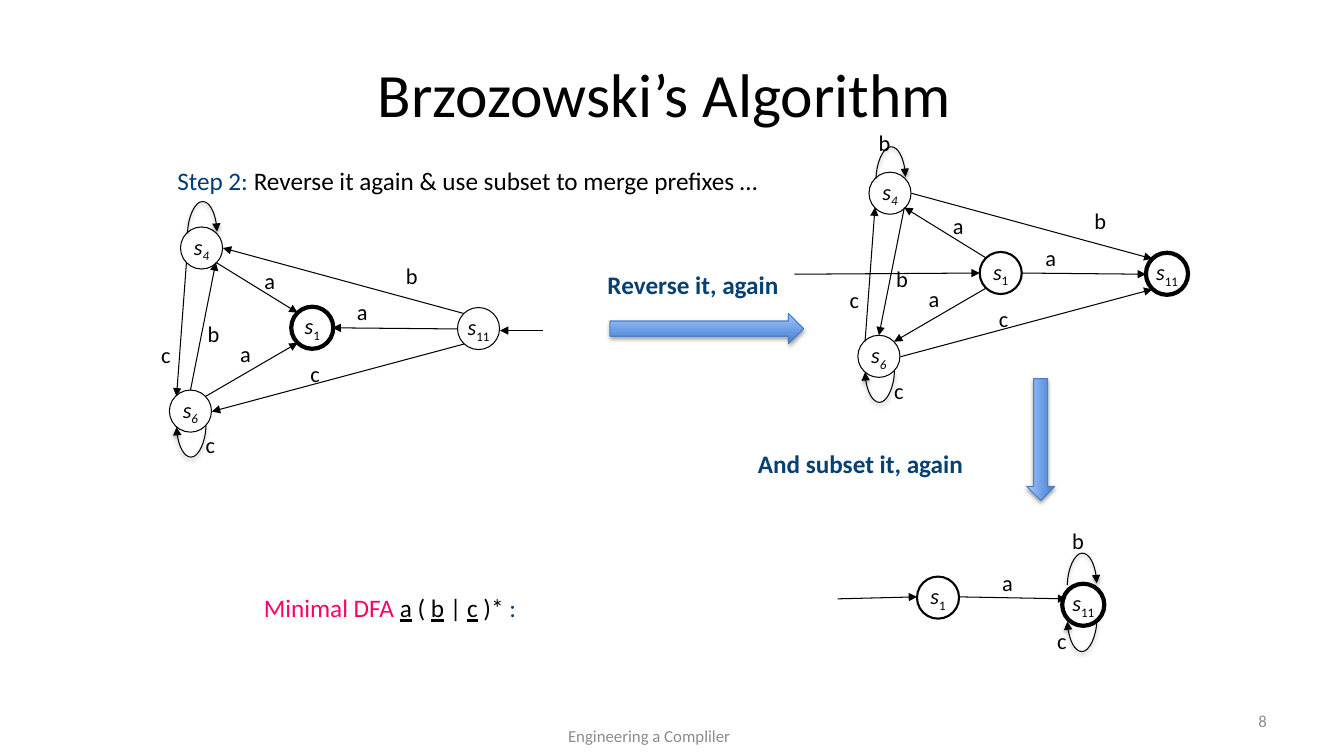
"""Build the slide on step 2 of Brzozowski's algorithm."""
from pptx import Presentation
from pptx.dml.color import RGBColor
from pptx.enum.shapes import MSO_CONNECTOR, MSO_SHAPE
from pptx.enum.text import MSO_ANCHOR, PP_ALIGN
from pptx.oxml import parse_xml
from pptx.oxml.ns import nsdecls, qn
from pptx.util import Cm, Pt

BLACK, BLUE, NAVY, PINK, GREY = "000000", "003C75", "074073", "FF0065", "8C8C8C"
SHADOW = (
    f'<a:effectLst {nsdecls("a")}><a:outerShdw blurRad="39400" dist="22000" dir="5400000" '
    'rotWithShape="0"><a:srgbClr val="000000"><a:alpha val="36000"/></a:srgbClr>'
    "</a:outerShdw></a:effectLst>"
)
NO_SHADOW = f'<a:effectLst {nsdecls("a")}/>'

deck = Presentation()
deck.slide_width, deck.slide_height = Cm(33.87), Cm(19.05)
slide = deck.slides.add_slide(deck.slide_layouts[5])
shapes = slide.shapes


def write(frame, pieces, size, align=PP_ALIGN.LEFT, anchor=MSO_ANCHOR.TOP, wrap=True):
    """Fill a text frame with one paragraph of (text, colour) pieces and return its runs."""
    frame.word_wrap, frame.vertical_anchor = wrap, anchor
    paragraph = frame.paragraphs[0]
    paragraph.alignment = align
    for text, colour in pieces:
        run = paragraph.add_run()
        run.text = text
        run.font.name, run.font.size = "Calibri", Pt(size)
        run.font.color.rgb = RGBColor.from_string(colour)
    return paragraph.runs


def add_arrow(kind, start, end, effect):
    """Draw a thin black connector with an arrowhead at its end."""
    arrow = shapes.add_connector(kind, *map(Cm, start + end))
    arrow.line.width = Pt(0.75)
    arrow.line.color.rgb = RGBColor.from_string(BLACK)
    arrow.line._get_or_add_ln().append(
        parse_xml(f'<a:tailEnd {nsdecls("a")} type="triangle"/>'))
    arrow._element.spPr.append(parse_xml(effect))
    return arrow


title = shapes.title
title.left, title.top, title.width, title.height = Cm(1.69), Cm(0.76), Cm(30.48), Cm(3.18)
write(title.text_frame, [("Brzozowski’s Algorithm ", BLACK)], 44,
      PP_ALIGN.CENTER, MSO_ANCHOR.MIDDLE)

step = shapes.add_textbox(Cm(4.22), Cm(4.04), Cm(22.86), Cm(1.02))
write(step.text_frame, [("Step 2: ", BLUE),
                        ("Reverse it again & use subset to merge prefixes …", BLACK)], 18)

for caption, left, top, width in [("Reverse it, again", 15.06, 6.65, 5.51),
                                  ("And subset it, again", 18.85, 11.18, 7.82)]:
    box = shapes.add_textbox(Cm(left), Cm(top), Cm(width), Cm(1.02))
    write(box.text_frame, [(caption, NAVY)], 18)[0].font.bold = True

minimal = shapes.add_textbox(Cm(6.4), Cm(14.81), Cm(8.81), Cm(1.02))
expression = [(text, BLACK) for text in ("a", " ( ", "b", " | ", "c", " )* ")]
for run in write(minimal.text_frame, [("Minimal DFA ", PINK), *expression, (":", NAVY)], 18):
    run.font.underline = run.text in ("a", "b", "c")

for text, left, top, width, align in [
        ("Engineering a Compliler", 11, 18.03, 10.72, PP_ALIGN.CENTER),
        ("8", 24.28, 17.65, 7.9, PP_ALIGN.RIGHT)]:
    footer = shapes.add_textbox(Cm(left), Cm(top), Cm(width), Cm(1.02))
    write(footer.text_frame, [(text, GREY)], 12, align, MSO_ANCHOR.MIDDLE)

for left, top, width, height, rotation, gradient_angle in [
        (15.37, 7.9, 4.88, 0.76, 0, 90), (24.69, 10.72, 3.07, 0.71, 90, 270)]:
    transition = shapes.add_shape(MSO_SHAPE.RIGHT_ARROW, Cm(left), Cm(top), Cm(width), Cm(height))
    transition.rotation = rotation
    transition.fill.gradient()
    transition.fill.gradient_angle = gradient_angle
    for stop, colour in zip(transition.fill.gradient_stops, ("3F80CE", "A4C4FF")):
        stop.color.rgb = RGBColor.from_string(colour)
    transition.line.color.rgb = RGBColor.from_string("4B7EBC")
    transition.line.width = Pt(0.75)
    transition._element.spPr.append(parse_xml(SHADOW))

DIAMETER = 1.06
STATES = {"4": (0.28, 0), "6": (0, 4.11), "1": (3.07, 2.01), "11": (7.26, 2.03)}
TRANSITIONS = [
    ((1.35, 0.53), (7.42, 2.18)), ((4.11, 2.54), (7.26, 2.57)), ((1.07, 4.65), (7.42, 2.95)),
    ((3.23, 2.16), (1.17, 0.89)), ((3.23, 2.92), (0.91, 4.27)),
    ((1.17, 0.89), (0.53, 4.11)), ((0.18, 4.27), (0.43, 0.89)),
]
LETTERS = [("c", 3.25, 3.23), ("b", 5.69, 0.76), ("a", 4.44, 1.68), ("a", 2.11, 0.89),
           ("a", 1.5, 2.72), ("b", 0.69, 2.21), ("c", -0.51, 2.74), ("c", 0.61, 5.03)]

states = [("11", 26.77, 14.71, 3), ("1", 23.11, 14.53, 1.5)]
edges = [((24.18, 15.04), (26.87, 15.09)), ((21.11, 15.09), (23.11, 15.04)),
         ((20.02, 6.91), (24.69, 6.88)), ((13.69, 8.33), (12.6, 8.33))]
letters = [("a", 24.97, 14.22), ("c", 26.34, 15.67), ("b", 26.75, 13.16), ("b", 21.87, 3.12)]
loops = [(27.25, 14.35, True), (27.25, 15.27, False)]

for x, y, reverse, outlines in [(21.62, 4.34, False, {"11": 3, "1": 1.5}),
                                (4.27, 5.72, True, {"1": 3})]:
    states += [(index, x + dx, y + dy, outlines.get(index, 0.75))
               for index, (dx, dy) in STATES.items()]
    for ends in TRANSITIONS:
        start, end = [(x + dx, y + dy) for dx, dy in ends]
        edges.append((end, start) if reverse else (start, end))
    letters += [(letter, x + dx, y + dy) for letter, dx, dy in LETTERS]
    loops += [(x + 0.81, y - 0.23, True), (x + 0.53, y + 4.65, False)]

for index, left, top, outline in states:
    state = shapes.add_shape(MSO_SHAPE.OVAL, Cm(left), Cm(top), Cm(DIAMETER), Cm(DIAMETER))
    state.shadow.inherit = False
    state.fill.background()
    state.line.color.rgb = RGBColor.from_string(BLACK)
    state.line.width = Pt(outline)
    name, subscript = write(state.text_frame, [("s", BLACK), (index, BLACK)], 16,
                            PP_ALIGN.CENTER, MSO_ANCHOR.MIDDLE, False)
    name.font.italic = True
    subscript.font.italic = index in ("4", "6")
    subscript._r.get_or_add_rPr().set("baseline", "-25000")

for start, end in edges:
    add_arrow(MSO_CONNECTOR.STRAIGHT, start, end, NO_SHADOW)

for left, top, above in loops:
    corners = [(left, top), (left + 0.04, top + 0.74)]
    start, end = reversed(corners) if above else corners
    loop = add_arrow(MSO_CONNECTOR.CURVE, start, end, SHADOW)
    outline = loop._element.spPr
    outline.find(qn("a:xfrm")).set("rot", "5400000")
    outline.find(qn("a:prstGeom")).find(qn("a:avLst")).append(
        parse_xml(f'<a:gd {nsdecls("a")} name="adj1" fmla="val 2000000"/>'))

for letter, left, top in letters:
    label = shapes.add_textbox(Cm(left), Cm(top), Cm(0.84), Cm(0.94))
    write(label.text_frame, [(letter, BLACK)], 16, PP_ALIGN.CENTER)

deck.save("out.pptx")
